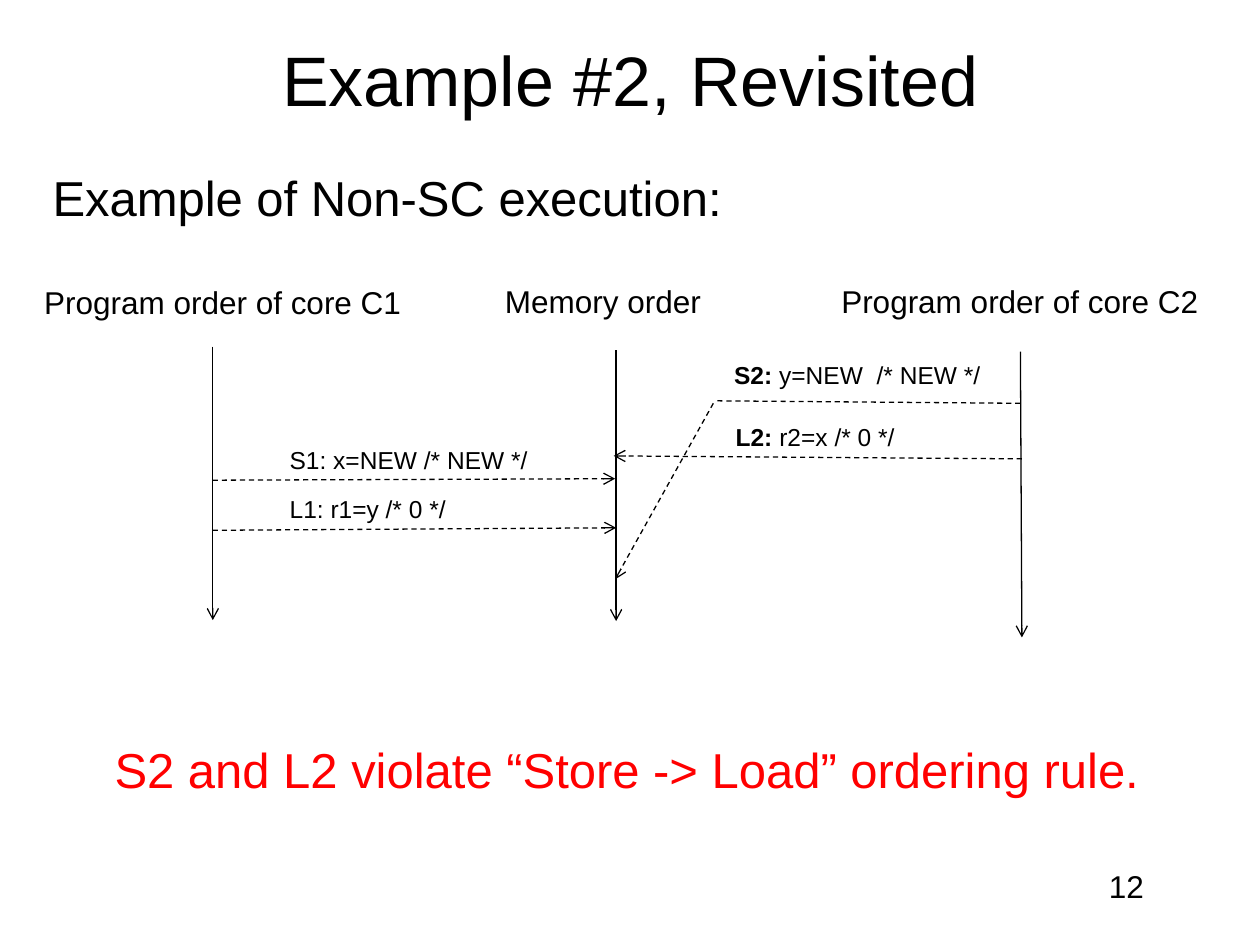
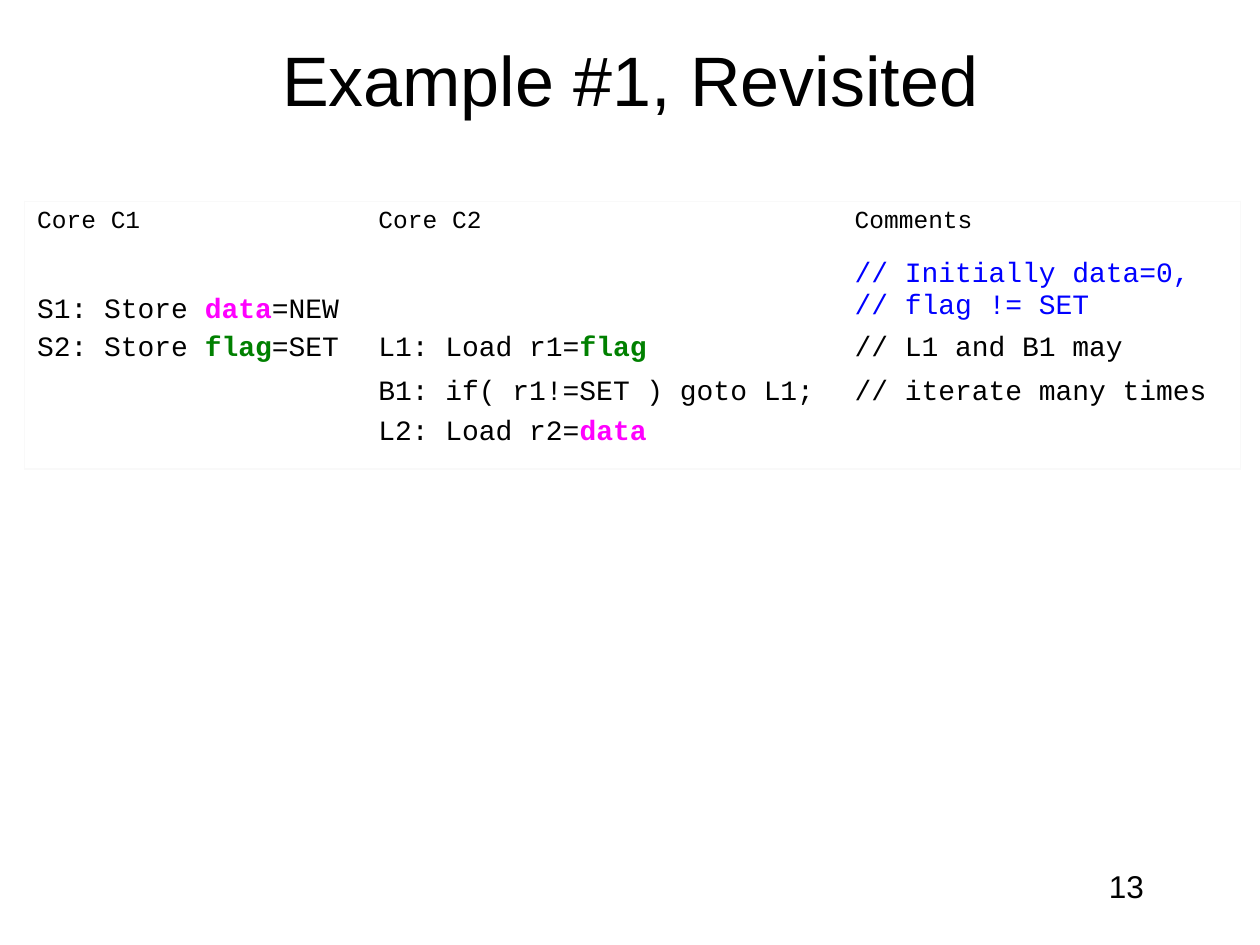
from dataclasses import dataclass

from lxml import etree
from pptx import Presentation
from pptx.dml.color import RGBColor
from pptx.enum.dml import MSO_LINE
from pptx.enum.shapes import MSO_CONNECTOR
from pptx.enum.text import MSO_ANCHOR, PP_ALIGN
from pptx.oxml.ns import qn
from pptx.util import Cm, Pt

STRAIGHT = MSO_CONNECTOR.STRAIGHT
DASH = MSO_LINE.DASH
MIDDLE, BOTTOM, TOP = MSO_ANCHOR.MIDDLE, MSO_ANCHOR.BOTTOM, MSO_ANCHOR.TOP
LEFT, CENTER, RIGHT = PP_ALIGN.LEFT, PP_ALIGN.CENTER, PP_ALIGN.RIGHT
TITLE_ONLY = 5
NO_TABLE_STYLE = "{2D5ABB26-0587-4C30-8999-92F81FD0307C}"


@dataclass(frozen=True)
class Theme:
    font: str = "Arial"
    code_font: str = "Courier New"
    black: str = "000000"
    red: str = "FF0000"
    blue: str = "0000FF"
    green: str = "008000"
    magenta: str = "FF00FF"
    frame: str = "F9F9F9"
    title_size: int = 40
    statement_size: int = 28
    heading_size: int = 18
    code_size: int = 16
    label_size: int = 14
    line_width: float = 0.75


THEME = Theme()

DATA = ("data", THEME.magenta, True)
FLAG = ("flag", THEME.green, True)


def plain(text):
    return (text, THEME.black, False)


def strong(text):
    return (text, THEME.black, True)


def comment(text):
    return (text, THEME.blue, False)


CODE_ROWS = [
    [[[plain("Core C1")]], [[plain("Core C2")]], [[plain("Comments")]]],
    [
        [[plain("S1: Store "), DATA, plain("=NEW")]],
        [],
        [[comment("// Initially data=0,")], [comment("// flag != SET")]],
    ],
    [
        [[plain("S2: Store "), FLAG, plain("=SET")]],
        [[plain("L1: Load r1="), FLAG]],
        [[plain("// L1 and B1 may")]],
    ],
    [
        [],
        [[plain("B1: if( r1!=SET ) goto L1;")]],
        [[plain("// iterate many times")]],
    ],
    [[], [[plain("L2: Load r2="), DATA]], []],
]
COLUMN_WIDTHS = [6.88, 9.6, 8.03]
ROW_HEIGHTS = [1.04, 1.52, 0.89, 0.81, 1.04]


def write_runs(paragraph, runs, size, font=THEME.font, alignment=LEFT):
    paragraph.alignment = alignment
    for text, color, bold in runs:
        run = paragraph.add_run()
        run.text = text
        run.font.name = font
        run.font.size = Pt(size)
        run.font.bold = bold
        run.font.color.rgb = RGBColor.from_string(color)


def add_text(slide, left, top, width, height, runs, size, alignment=LEFT):
    shape = slide.shapes.add_textbox(Cm(left), Cm(top), Cm(width), Cm(height))
    shape.text_frame.word_wrap = True
    write_runs(shape.text_frame.paragraphs[0], runs, size, alignment=alignment)
    return shape


def add_titled_slide(presentation, title, number):
    slide = presentation.slides.add_slide(presentation.slide_layouts[TITLE_ONLY])
    shape = slide.shapes.title
    shape.left, shape.top = Cm(1.9), Cm(0)
    shape.width, shape.height = Cm(21.6), Cm(3.18)
    shape.text_frame.vertical_anchor = MIDDLE
    write_runs(shape.text_frame.paragraphs[0], [plain(title)], THEME.title_size, alignment=CENTER)
    page_number = add_text(
        slide, 18.21, 17.35, 5.28, 1.27, [plain(str(number))], THEME.heading_size, RIGHT
    )
    page_number.text_frame.margin_right = Cm(0.43)
    return slide


def add_line(slide, start, end, dashed=False, arrow=True):
    connector = slide.shapes.add_connector(STRAIGHT, *(Cm(value) for value in start + end))
    connector.line.color.rgb = RGBColor.from_string(THEME.black)
    connector.line.width = Pt(THEME.line_width)
    if dashed:
        connector.line.dash_style = DASH
    if arrow:
        line = connector.line._get_or_add_ln()
        etree.SubElement(line, qn("a:tailEnd"), type="arrow")
    etree.SubElement(connector._element.spPr, qn("a:effectLst"))


def add_border(cell, side):
    properties = cell._tc.get_or_add_tcPr()
    border = etree.SubElement(properties, qn(f"a:ln{side}"), w=str(Pt(THEME.line_width)))
    fill = etree.SubElement(border, qn("a:solidFill"))
    etree.SubElement(fill, qn("a:srgbClr"), val=THEME.frame)


def fill_cell(cell, paragraphs, size, compact):
    cell.margin_left = cell.margin_right = Cm(0.25)
    cell.margin_top = cell.margin_bottom = Cm(0 if compact else 0.13)
    cell.fill.background()
    frame = cell.text_frame
    for index, runs in enumerate(paragraphs):
        paragraph = frame.add_paragraph() if index else frame.paragraphs[0]
        write_runs(paragraph, runs, size, THEME.code_font)


def add_code_table(slide, left, top):
    last_row, last_column = len(ROW_HEIGHTS) - 1, len(COLUMN_WIDTHS) - 1
    table = slide.shapes.add_table(
        len(ROW_HEIGHTS), len(COLUMN_WIDTHS), Cm(left), Cm(top),
        Cm(sum(COLUMN_WIDTHS)), Cm(sum(ROW_HEIGHTS)),
    ).table
    table.first_row = table.horz_banding = False
    table._tbl.tblPr.find(qn("a:tableStyleId")).text = NO_TABLE_STYLE
    for column, width in zip(table.columns, COLUMN_WIDTHS):
        column.width = Cm(width)
    for row_index, (row, height) in enumerate(zip(table.rows, ROW_HEIGHTS)):
        row.height = Cm(height)
        size = THEME.code_size if row_index else THEME.label_size
        for column_index, cell in enumerate(row.cells):
            outer_sides = {
                "L": column_index == 0,
                "R": column_index == last_column,
                "T": row_index == 0,
                "B": row_index == last_row,
            }
            for side, is_outer in outer_sides.items():
                if is_outer:
                    add_border(cell, side)
            fill_cell(cell, CODE_ROWS[row_index][column_index], size, compact=row_index > 1)
            cell.vertical_anchor = BOTTOM if (row_index, column_index) == (1, 0) else TOP


def build_execution_slide(presentation):
    slide = add_titled_slide(presentation, "Example #2, Revisited", 12)
    add_text(
        slide, 0.81, 3.25, 16.51, 1.8,
        [plain("Example of Non-SC execution:")], THEME.statement_size,
    )

    timelines = [
        ("Program order of core C1", 0.64, 5.59, (4.29, 6.99), (4.29, 12.5)),
        ("Memory order", 9.93, 5.56, (12.42, 7.06), (12.42, 12.52)),
        ("Program order of core C2", 16.71, 5.56, (20.57, 7.09), (20.6, 12.85)),
    ]
    for heading, left, top, start, end in timelines:
        add_text(slide, left, top, 8.1, 1.02, [plain(heading)], THEME.heading_size)
        add_line(slide, start, end)

    operations = [
        ([strong("S2: "), plain("y=NEW  /* NEW */")], 14.55, 7.14),
        ([strong("L2: "), plain("r2=x /* 0 */")], 14.58, 8.38),
        ([plain("S1: x=NEW /* NEW */")], 5.59, 8.84),
        ([plain("L1: r1=y /* 0 */")], 5.59, 9.83),
    ]
    for runs, left, top in operations:
        add_text(slide, left, top, 6.22, 0.86, runs, THEME.label_size)

    add_line(slide, (20.57, 8.13), (14.43, 8.08), dashed=True, arrow=False)
    memory_accesses = [
        ((14.38, 8.13), (12.4, 11.68)),
        ((20.6, 9.25), (12.37, 9.19)),
        ((4.29, 9.68), (12.4, 9.65)),
        ((4.29, 10.69), (12.42, 10.64)),
    ]
    for start, end in memory_accesses:
        add_line(slide, start, end, dashed=True)

    violation = ("S2 and L2 violate “Store -> Load” ordering rule.", THEME.red, False)
    add_text(slide, 2.06, 14.78, 21.6, 1.45, [violation], THEME.statement_size)


def build_code_slide(presentation):
    slide = add_titled_slide(presentation, "Example #1, Revisited", 13)
    add_code_table(slide, 0.5, 4.06)


def main():
    presentation = Presentation()
    presentation.slide_width, presentation.slide_height = Cm(25.4), Cm(19.05)
    build_execution_slide(presentation)
    build_code_slide(presentation)
    presentation.save("out.pptx")


if __name__ == "__main__":
    main()
